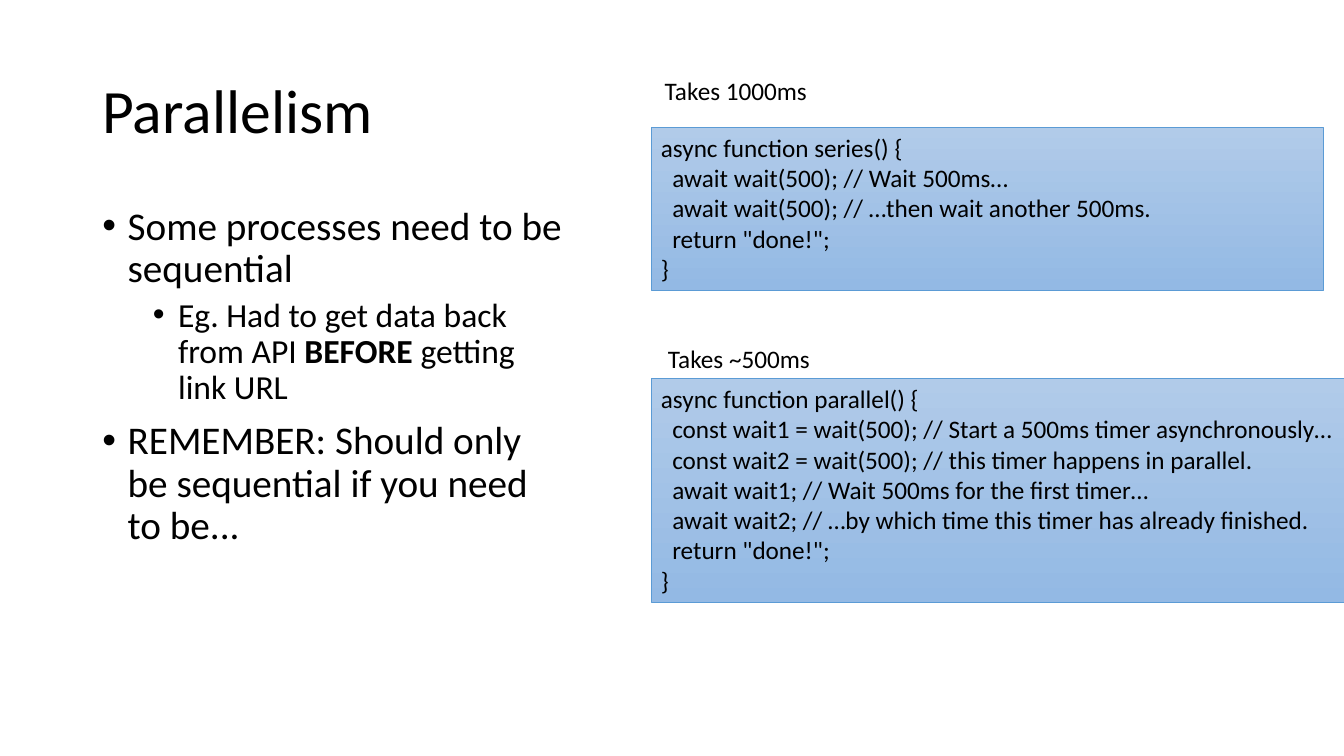
from lxml import etree
from pptx import Presentation
from pptx.dml.color import RGBColor
from pptx.enum.shapes import MSO_SHAPE
from pptx.enum.text import MSO_ANCHOR, MSO_AUTO_SIZE, PP_ALIGN
from pptx.oxml.ns import qn
from pptx.util import Pt

RECTANGLE = MSO_SHAPE.RECTANGLE
TOP, MIDDLE = MSO_ANCHOR.TOP, MSO_ANCHOR.MIDDLE
NO_AUTOFIT = MSO_AUTO_SIZE.NONE
LEFT, CENTER = PP_ALIGN.LEFT, PP_ALIGN.CENTER
FONT = "Calibri"
COLORS = {
    "text": "000000",
    "code_top": "B1CBE9",
    "code_bottom": "93B9E4",
    "code_line": "5B9BD5",
}


def add_run(paragraph, text, size, bold=False):
    run = paragraph.add_run()
    run.text = text
    run.font.name = FONT
    run.font.size = Pt(size)
    run.font.bold = bold
    run.font.color.rgb = RGBColor.from_string(COLORS["text"])


def place(shape, left, top, width, height):
    shape.left, shape.top = Pt(left), Pt(top)
    shape.width, shape.height = Pt(width), Pt(height)
    shape.text_frame.word_wrap = True
    shape.text_frame.auto_size = NO_AUTOFIT


presentation = Presentation()
presentation.slide_width = Pt(960)
presentation.slide_height = Pt(540)
slide = presentation.slides.add_slide(presentation.slide_layouts[1])

title = slide.shapes.title
place(title, 66, 28.75, 828, 104.4)
title.text_frame.vertical_anchor = MIDDLE
paragraph = title.text_frame.paragraphs[0]
paragraph.alignment = LEFT
paragraph.line_spacing = 0.9
add_run(paragraph, "Parallelism", 44)

body = slide.placeholders[1]
place(body, 66, 143.75, 345.6, 342.6)
body.text_frame.vertical_anchor = TOP
bullets = [
    (0, 28, 0, [("Some processes need to be sequential", False)]),
    (1, 24, 5, [
        ("Eg. Had to get data back from API ", False),
        ("BEFORE", True),
        (" getting link URL", False),
    ]),
    (0, 28, 10, [("REMEMBER: Should only be sequential if you need to be...", False)]),
]
for index, (level, size, space_before, parts) in enumerate(bullets):
    paragraph = body.text_frame.add_paragraph() if index else body.text_frame.paragraphs[0]
    paragraph.level = level
    properties = paragraph._p.get_or_add_pPr()
    properties.set("marL", str(Pt(18 + 36 * level)))
    properties.set("indent", str(Pt(-18)))
    etree.SubElement(properties, qn("a:buFont")).set("typeface", "Arial")
    etree.SubElement(properties, qn("a:buChar")).set("char", "•")
    paragraph.line_spacing = 0.9
    paragraph.space_before = Pt(space_before)
    for text, bold in parts:
        add_run(paragraph, text, size, bold)

code_blocks = [
    (90.9, 480, 116.35, [
        "async function series() {",
        "  await wait(500); // Wait 500ms…",
        "  await wait(500); // …then wait another 500ms.",
        '  return "done!";',
        "}",
    ]),
    (270.4, 506, 160, [
        "async function parallel() {",
        "  const wait1 = wait(500); // Start a 500ms timer asynchronously…",
        "  const wait2 = wait(500); // this timer happens in parallel.",
        "  await wait1; // Wait 500ms for the first timer…",
        "  await wait2; // …by which time this timer has already finished.",
        '  return "done!";',
        "}",
    ]),
]
for top, width, height, lines in code_blocks:
    code_box = slide.shapes.add_shape(RECTANGLE, 0, 0, 0, 0)
    place(code_box, 465, top, width, height)
    code_box.shadow.inherit = False
    code_box.fill.gradient()
    code_box.fill.gradient_angle = 270
    for stop, name in zip(code_box.fill.gradient_stops, ("code_top", "code_bottom")):
        stop.color.rgb = RGBColor.from_string(COLORS[name])
    for stop, position in zip(code_box.fill.gradient_stops, (0, 1)):
        stop.position = position
    code_box.line.color.rgb = RGBColor.from_string(COLORS["code_line"])
    code_box.line.width = Pt(0.5)
    code_box.text_frame.vertical_anchor = TOP
    paragraph = code_box.text_frame.paragraphs[0]
    paragraph.alignment = LEFT
    for index, line in enumerate(lines):
        if index:
            paragraph.add_line_break()
        add_run(paragraph, line, 18)

for left, top, text in [(417.6, 50.4, "Takes 1000ms"), (419.8, 241.4, "Takes ~500ms")]:
    label = slide.shapes.add_textbox(0, 0, 0, 0)
    place(label, left, top, 216, 29)
    paragraph = label.text_frame.paragraphs[0]
    paragraph.alignment = CENTER
    add_run(paragraph, text, 18)

presentation.save("out.pptx")
